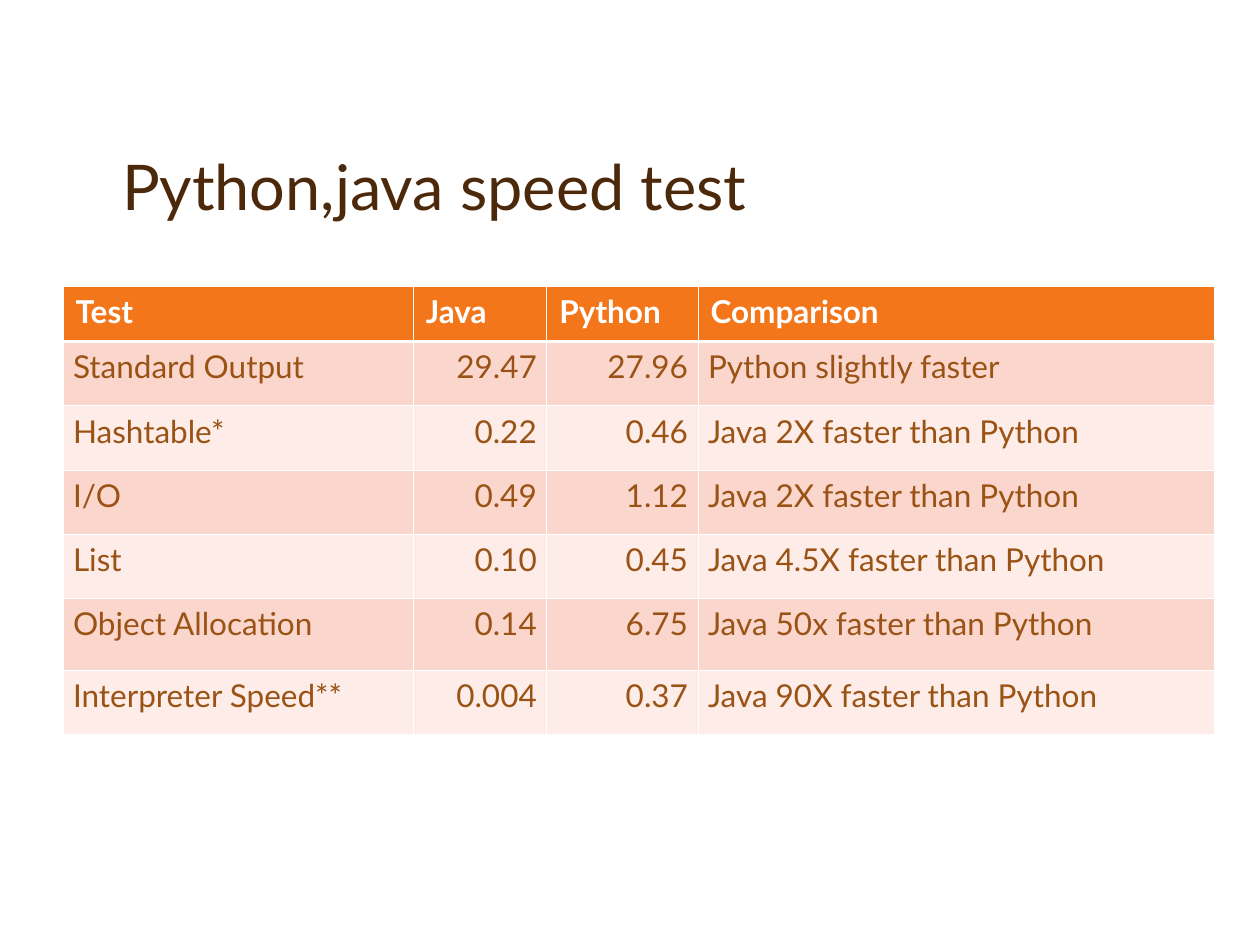
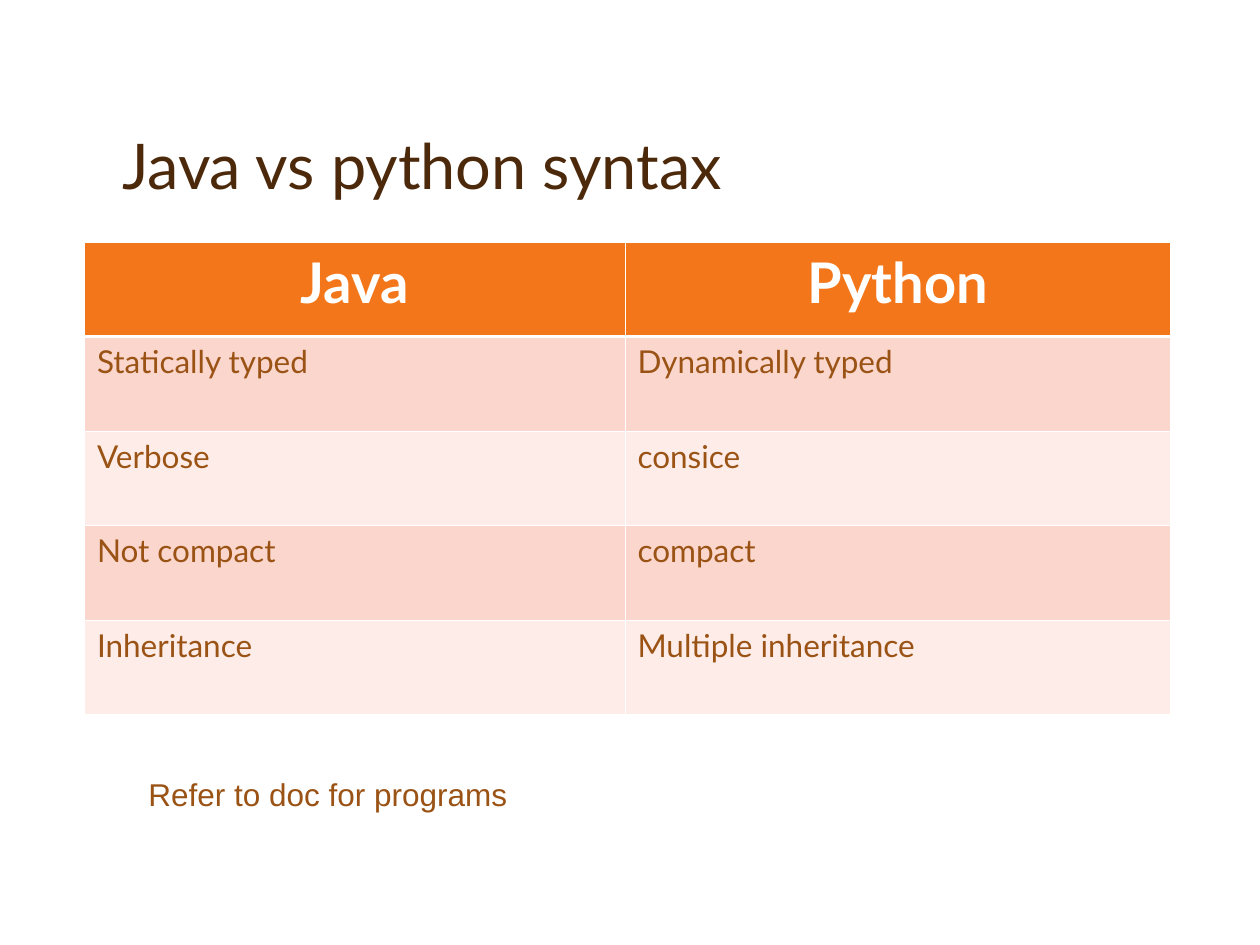
from lxml.etree import SubElement
from pptx import Presentation
from pptx.dml.color import RGBColor
from pptx.enum.text import MSO_ANCHOR as Anchor, PP_ALIGN as Align
from pptx.oxml.ns import qn
from pptx.util import Inches, Pt

COLORS = {
    "title": "4D290B",
    "body": "9A5315",
    "header": "F3771A",
    "odd_row": "FAD6CC",
    "even_row": "FDECE7",
    "white": "FFFFFF",
}
SLIDE_WIDTH, SLIDE_HEIGHT = Inches(10), Inches(7.5)
TITLE_LEFT, TITLE_WIDTH = 0.87, 8.25
THIN, THICK = 0.45, 1.47

SPEED_TESTS = [
    ("Test", "Java", "Python", "Comparison"),
    ("Standard Output", "29.47", "27.96", "Python slightly faster"),
    ("Hashtable*", "0.22", "0.46", "Java 2X faster than Python"),
    ("I/O", "0.49", "1.12", "Java 2X faster than Python"),
    ("List", "0.10", "0.45", "Java 4.5X faster than Python"),
    ("Object Allocation", "0.14", "6.75", "Java 50x faster than Python"),
    ("Interpreter Speed**", "0.004", "0.37", "Java 90X faster than Python"),
]
SYNTAX_TRAITS = [
    ("Java", "Python"),
    ("Statically typed", "Dynamically typed"),
    ("Verbose", "consice"),
    ("Not compact", "compact"),
    ("Inheritance", "Multiple inheritance"),
]


def write(paragraph, text, size, color, font="Lato", bold=False, align=Align.LEFT):
    paragraph.alignment = align
    run = paragraph.add_run()
    run.text = text
    run.font.name = font
    run.font.size = Pt(size)
    run.font.bold = bold
    run.font.color.rgb = RGBColor.from_string(COLORS[color])


def add_text(slide, left, top, width, height, text, size, color, font="Lato"):
    box = slide.shapes.add_textbox(*map(Inches, (left, top, width, height)))
    frame = box.text_frame
    frame.word_wrap = True
    write(frame.paragraphs[0], text, size, color, font)
    return frame


def add_title(slide, text, top, height):
    frame = add_text(slide, TITLE_LEFT, top, TITLE_WIDTH, height, text, 36, "title")
    frame.vertical_anchor = Anchor.BOTTOM
    frame.paragraphs[0].line_spacing = 0.9


def set_borders(cell, top, bottom):
    properties = cell._tc.get_or_add_tcPr()
    for side, width in (("L", THIN), ("R", THIN), ("T", top), ("B", bottom)):
        line = SubElement(properties, qn(f"a:ln{side}"), w=str(Pt(width)))
        fill = SubElement(line, qn("a:solidFill"))
        SubElement(fill, qn("a:srgbClr"), val=COLORS["white"])


def style_cell(cell, row, side_margin):
    cell.margin_left = cell.margin_right = Inches(side_margin)
    cell.margin_top = cell.margin_bottom = Inches(0.05)
    set_borders(cell, THICK if row == 1 else THIN, THICK if row == 0 else THIN)
    band = "header" if row == 0 else "odd_row" if row % 2 else "even_row"
    cell.fill.solid()
    cell.fill.fore_color.rgb = RGBColor.from_string(COLORS[band])


def add_comparison(slide, left, top, widths, heights, rows, header_size=18,
                   header_align=Align.LEFT, body_margin=0.1, number_columns=()):
    frame = slide.shapes.add_table(
        len(rows), len(widths), Inches(left), Inches(top),
        Inches(sum(widths)), Inches(sum(heights)))
    table = frame.table
    for column, width in zip(table.columns, widths):
        column.width = Inches(width)
    for row, (height, texts) in enumerate(zip(heights, rows)):
        table.rows[row].height = Inches(height)
        for column, text in enumerate(texts):
            cell = table.cell(row, column)
            paragraph = cell.text_frame.paragraphs[0]
            if row == 0:
                style_cell(cell, row, 0.1)
                write(paragraph, text, header_size, "white", bold=True, align=header_align)
            else:
                style_cell(cell, row, body_margin)
                align = Align.RIGHT if column in number_columns else Align.LEFT
                write(paragraph, text, 18, "body", align=align)


def build_speed_slide(slide):
    add_title(slide, "Python,java speed test", 1.33, 0.5)
    add_comparison(slide, 0.5, 2.27, [2.78, 1.06, 1.2, 4.1],
                   [0.44] + [0.51] * 4 + [0.57, 0.51], SPEED_TESTS,
                   body_margin=0.08, number_columns=(1, 2))


def build_syntax_slide(slide):
    add_title(slide, "Java vs python syntax", 0.33, 1.33)
    add_comparison(slide, 0.67, 1.92, [4.29, 4.33], [0.75] * len(SYNTAX_TRAITS),
                   SYNTAX_TRAITS, header_size=32, header_align=Align.CENTER)
    add_text(slide, 1.08, 6.1, 6.5, 0.4, "Refer to doc for programs", 18, "body", "Arial")


def main():
    deck = Presentation()
    deck.slide_width, deck.slide_height = SLIDE_WIDTH, SLIDE_HEIGHT
    blank = deck.slide_layouts[6]
    for build in (build_speed_slide, build_syntax_slide):
        build(deck.slides.add_slide(blank))
    deck.save("out.pptx")


if __name__ == "__main__":
    main()
